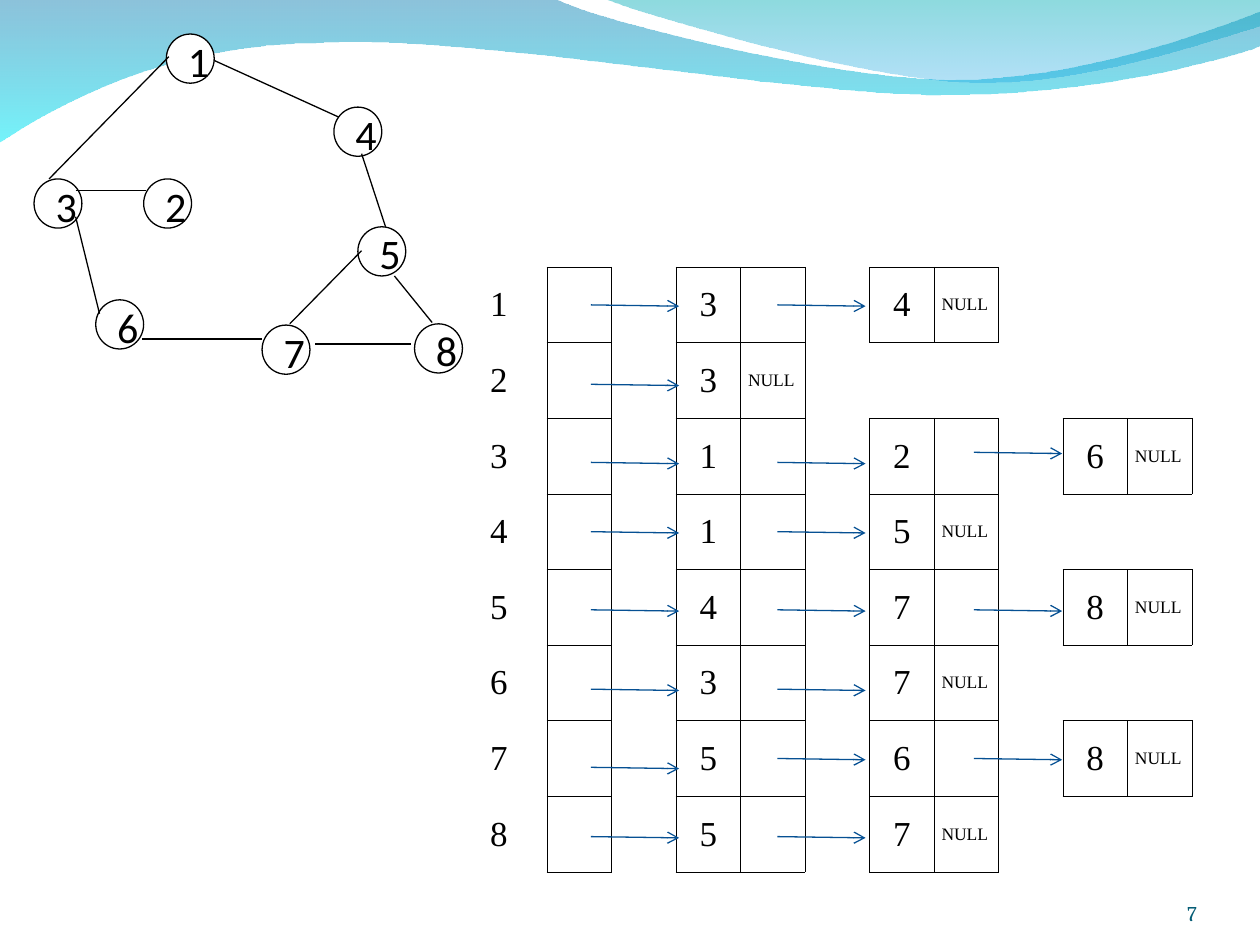
from lxml.etree import SubElement
from pptx import Presentation
from pptx.dml.color import RGBColor
from pptx.enum.shapes import MSO_CONNECTOR, MSO_SHAPE
from pptx.enum.text import MSO_ANCHOR, PP_ALIGN
from pptx.oxml.ns import qn
from pptx.util import Inches, Pt

BLACK, WHITE, ARROW_BLUE, NUMBER_TEAL = "000000", "FFFFFF", "065093", "045C75"
NO_STYLE = "{2D5ABB26-0587-4C30-8999-92F81FD0307C}"

# Waves: start point, then line ends (2 numbers) or cubic curves (6 numbers)
LEFT_WAVE = [(0, -0.01), (4.4, -0.01), (4.76, 0.17, 6.64, 0.63, 7.58, 0.63),
             (8.53, 0.63, 9.58, 0.26, 10, 0.09), (10.01, 0.36),
             (9.83, 0.44, 8.7, 0.76, 7.46, 0.75), (6.22, 0.75, 3.82, 0.28, 2.57, 0.34),
             (1.29, 0.35, 0.46, 0.83, -0.01, 1.13)]
RIGHT_WAVE = [(4.79, -0.01), (5.09, 0.11, 6.82, 0.62, 7.69, 0.65),
              (8.56, 0.69, 9.61, 0.32, 10, 0.21), (10, 0)]

# Graph: node corners and edge ends, relative to the graph's box
NODES = {1: (1.05, 0), 2: (0.87, 1.15), 3: (0, 1.15), 4: (2.38, 0.58),
         5: (2.57, 1.53), 6: (0.49, 2.11), 7: (1.81, 2.31), 8: (3.02, 2.3)}
EDGES = [(1.07, 0.18, 0.12, 1.15), (1.43, 0.21, 2.42, 0.66), (0.33, 1.24, 0.89, 1.24),
         (0.33, 1.45, 0.52, 2.22), (0.86, 2.42, 1.81, 2.42), (2.6, 0.95, 2.79, 1.53),
         (2.6, 1.72, 2.03, 2.3), (2.86, 1.92, 3.16, 2.29), (2.23, 2.46, 2.99, 2.46)]

# Adjacency lists and the arrows between their cells
NEIGHBOURS = {1: [3, 4], 2: [3], 3: [1, 2, 6], 4: [1, 5],
              5: [4, 7, 8], 6: [3, 7], 7: [5, 6, 8], 8: [5, 7]}
ARROW_STARTS = [0.86, 2.34, 3.9]
ARROW_HEIGHTS = [0.3, 0.93, 1.55, 2.1, 2.72, 3.35, 3.97, 4.52]
SHIFTED_ARROWS = {(7, 1): 3.9, (3, 2): 1.47, (7, 2): 3.9}


def color(value):
    return RGBColor.from_string(value)


def write(frame, text, size=20, font="Times New Roman", ink=BLACK,
          align=PP_ALIGN.CENTER, anchor=MSO_ANCHOR.TOP, after=0):
    frame.word_wrap = True
    frame.vertical_anchor = anchor
    paragraph = frame.paragraphs[0]
    paragraph.alignment = align
    paragraph.space_after = Pt(after)
    run = paragraph.add_run()
    run.text = text
    run.font.size = Pt(size)
    run.font.name = font
    run.font.color.rgb = color(ink)


def draw_line(shapes, x1, y1, x2, y2, ink=BLACK, arrow=False):
    connector = shapes.add_connector(MSO_CONNECTOR.STRAIGHT, Inches(x1), Inches(y1),
                                     Inches(x2), Inches(y2))
    connector.line.color.rgb = color(ink)
    connector.line.width = Pt(0.75)
    if arrow:
        SubElement(connector.line._get_or_add_ln(), qn("a:tailEnd"), type="arrow")
    SubElement(connector.element.spPr, qn("a:effectLst"))


def add_wave(shapes, left, top, segments, stops):
    points = [(Inches(left + x), Inches(top + y)) for segment in segments
              for x, y in zip(segment[::2], segment[1::2])]
    builder = shapes.build_freeform(*points[0])
    builder.add_line_segments(points[1:], close=True)
    wave = builder.convert_to_shape()
    # Gather the three points of each curve into one cubic segment
    corners = iter(list(wave.element.spPr.iter(qn("a:lnTo"))))
    for segment in segments[1:]:
        corner = next(corners)
        if len(segment) == 6:
            corner.tag = qn("a:cubicBezTo")
            for _ in range(2):
                control = next(corners)
                corner.append(control[0])
                control.getparent().remove(control)
    wave.shadow.inherit = False
    wave.line.fill.background()
    wave.fill.gradient()
    wave.fill.gradient_angle = 270
    for stop, (ink, opacity) in zip(wave.fill.gradient_stops, stops):
        stop.color.rgb = color(ink)
    # Opacity of each gradient stop
    stop_colors = wave.element.spPr.iter(qn("a:srgbClr"))
    for stop_color, (ink, opacity) in zip(stop_colors, stops):
        SubElement(stop_color, qn("a:alpha"), val=str(opacity * 1000))


def add_header_waves(shapes, left, top):
    add_wave(shapes, left, top, LEFT_WAVE, [("0079AF", 45), ("00EBF8", 55)])
    add_wave(shapes, left, top, RIGHT_WAVE, [("00ADB6", 45), ("009BE5", 30)])


def outline_cell(cell):
    properties = cell._tc.get_or_add_tcPr()
    for position, side in enumerate(("lnL", "lnR", "lnT", "lnB")):
        border = SubElement(properties, qn("a:" + side), w=str(Pt(0.45)))
        properties.insert(position, border)
        fill = SubElement(border, qn("a:solidFill"))
        SubElement(fill, qn("a:srgbClr"), val=BLACK)


def add_adjacency_table(shapes, left, top, width, height):
    table = shapes.add_table(len(NEIGHBOURS), 11, Inches(left), Inches(top),
                             Inches(width), Inches(height)).table
    table.first_row = table.horz_banding = False
    table._tbl.tblPr.find(qn("a:tableStyleId")).text = NO_STYLE
    for column in table.columns:
        column.width = Inches(width / 11)
    for cell in table.iter_cells():
        cell.fill.background()
        cell.margin_left = cell.margin_right = Inches(0.06)

    def fill_cell(row, column, text, boxed=True, **style):
        cell = table.cell(row, column)
        if text:
            write(cell.text_frame, text, **style)
            cell.vertical_anchor = MSO_ANCHOR.MIDDLE
        if boxed:
            outline_cell(cell)

    for row, (vertex, neighbours) in enumerate(NEIGHBOURS.items()):
        fill_cell(row, 0, str(vertex), boxed=False, align=PP_ALIGN.JUSTIFY)
        fill_cell(row, 1, "")
        for link, neighbour in enumerate(neighbours):
            last = link == len(neighbours) - 1
            fill_cell(row, 3 * link + 3, str(neighbour))
            fill_cell(row, 3 * link + 4, "NULL" if last else "",
                      size=10, align=PP_ALIGN.JUSTIFY)


def add_list_arrows(shapes, left, top):
    for (vertex, neighbours), height in zip(NEIGHBOURS.items(), ARROW_HEIGHTS):
        for link in range(len(neighbours)):
            x = left + ARROW_STARTS[link]
            y = top + SHIFTED_ARROWS.get((vertex, link), height)
            draw_line(shapes, x, y, x + 0.7, y + 0.01, ink=ARROW_BLUE, arrow=True)


def add_graph(shapes, left, top):
    graph = shapes.add_group_shape().shapes
    for vertex, (x, y) in NODES.items():
        x, y = left + x, top + y
        circle = graph.add_shape(MSO_SHAPE.OVAL, Inches(x), Inches(y),
                                 Inches(0.38), Inches(0.39))
        circle.shadow.inherit = False
        circle.fill.solid()
        circle.fill.fore_color.rgb = color(WHITE)
        circle.line.color.rgb = color(BLACK)
        circle.line.width = Pt(0.75)
        label = graph.add_textbox(Inches(x - 0.03), Inches(y - 0.04),
                                  Inches(0.57), Inches(0.58))
        write(label.text_frame, str(vertex), size=24, font="Calibri", after=10)
    for x1, y1, x2, y2 in EDGES:
        draw_line(graph, left + x1, top + y1, left + x2, top + y2)


def add_page_number(shapes, left, top, width, height):
    frame = shapes.add_textbox(Inches(left), Inches(top),
                               Inches(width), Inches(height)).text_frame
    frame.margin_left = frame.margin_right = frame.margin_top = frame.margin_bottom = 0
    write(frame, "7", size=12, font="Cambria", ink=NUMBER_TEAL,
          align=PP_ALIGN.RIGHT, anchor=MSO_ANCHOR.BOTTOM)


def main():
    presentation = Presentation()
    presentation.slide_width, presentation.slide_height = Inches(10), Inches(7.5)
    shapes = presentation.slides.add_slide(presentation.slide_layouts[6]).shapes
    add_header_waves(shapes, 0, 0)
    add_adjacency_table(shapes, 3.83, 2.12, 5.63, 4.8)
    add_page_number(shapes, 8.67, 6.95, 0.83, 0.4)
    add_list_arrows(shapes, 3.83, 2.12)
    add_graph(shapes, 0.27, 0.27)
    presentation.save("out.pptx")


if __name__ == "__main__":
    main()
